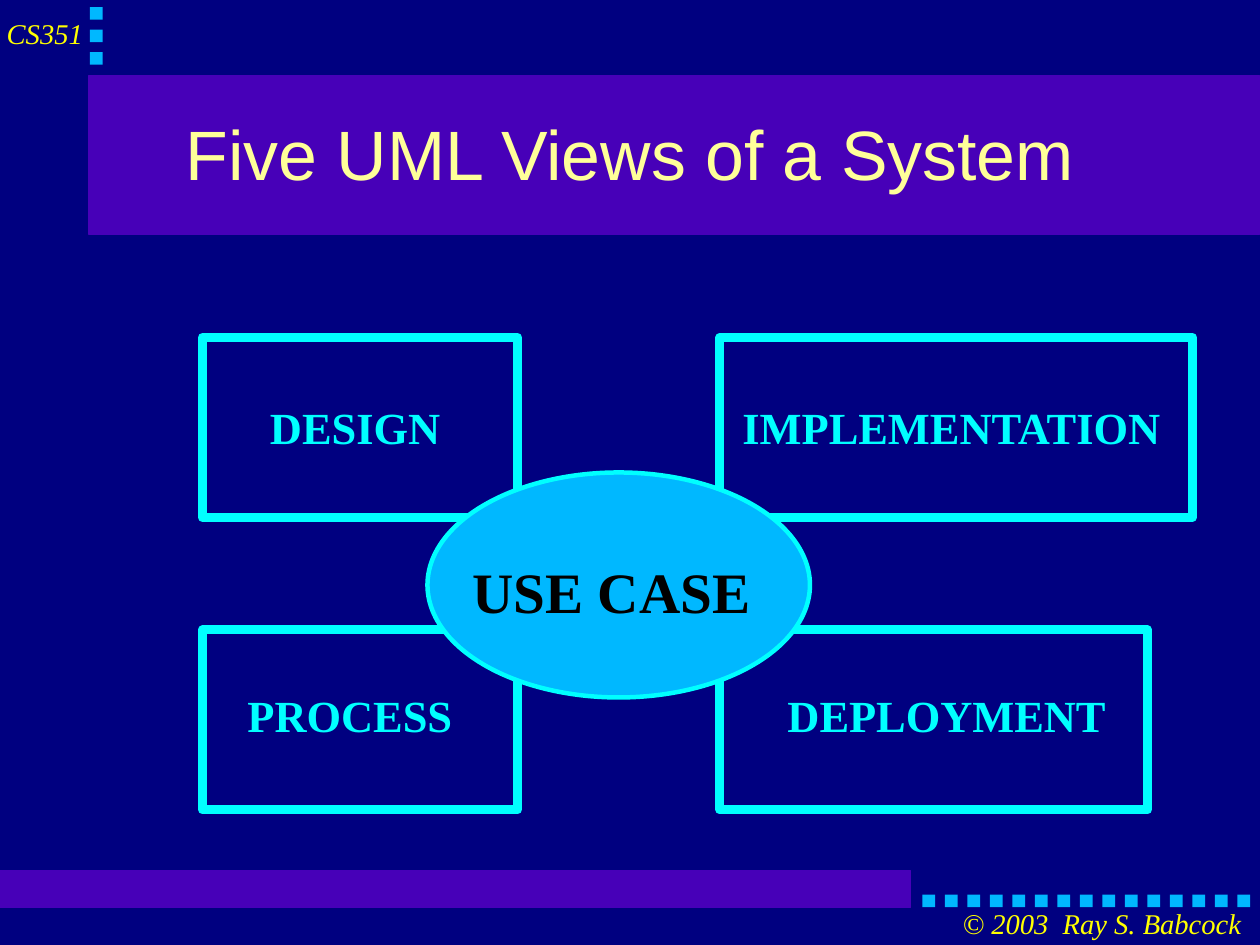
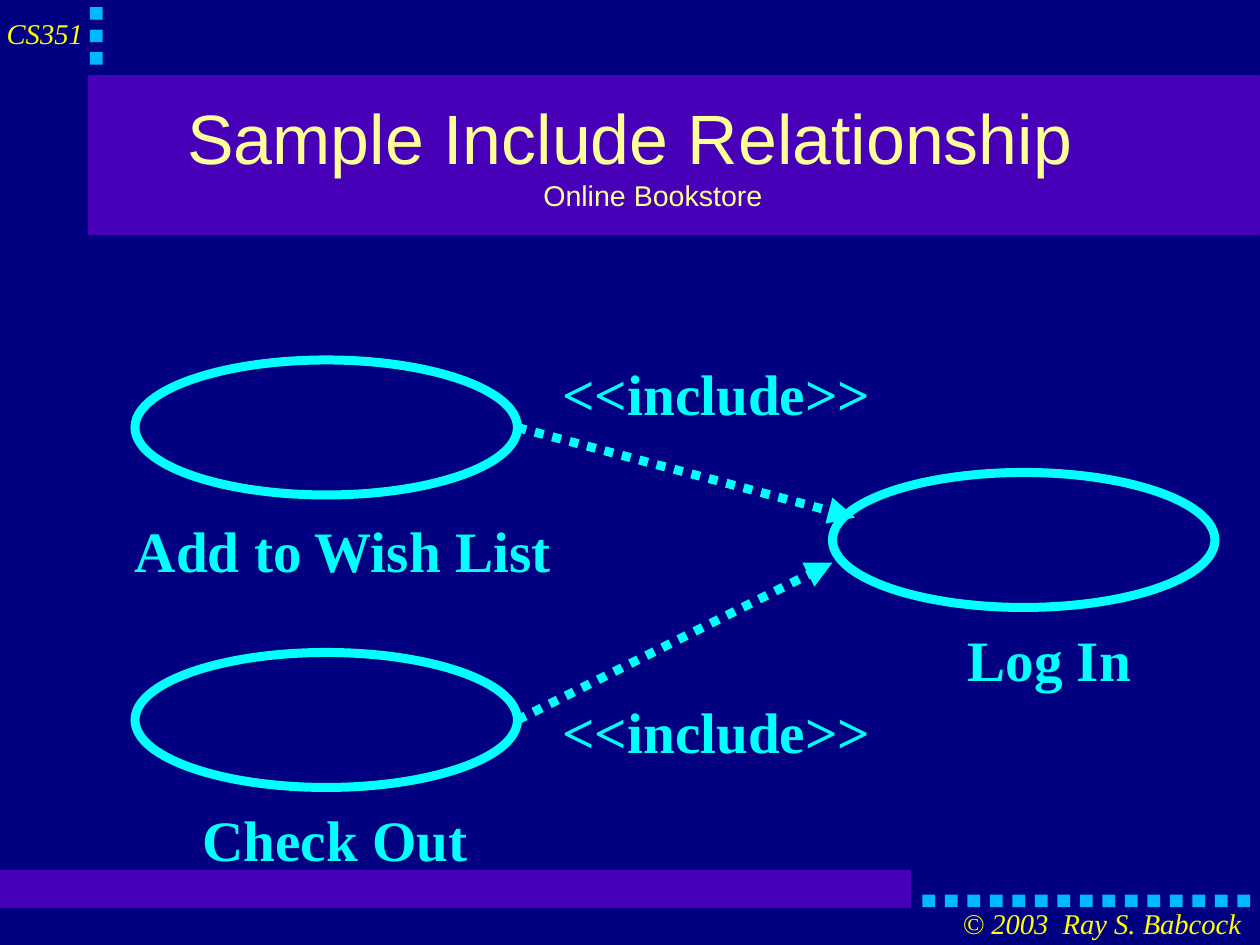
from lxml import etree
from pptx import Presentation
from pptx.dml.color import RGBColor
from pptx.enum.dml import MSO_LINE
from pptx.enum.shapes import MSO_CONNECTOR, MSO_SHAPE
from pptx.enum.text import MSO_ANCHOR, MSO_AUTO_SIZE, PP_ALIGN
from pptx.oxml.ns import qn
from pptx.util import Cm, Pt

RECT, OVAL = MSO_SHAPE.RECTANGLE, MSO_SHAPE.OVAL
STRAIGHT, DOTTED = MSO_CONNECTOR.STRAIGHT, MSO_LINE.ROUND_DOT
MIDDLE, CENTER, NO_AUTOFIT = MSO_ANCHOR.MIDDLE, PP_ALIGN.CENTER, MSO_AUTO_SIZE.NONE

NAVY, PURPLE, SKY, CYAN = "000080", "4700B8", "00B8FF", "00FFFF"
YELLOW, CREAM, BLACK = "FFFF00", "FFFF99", "000000"
SERIF, SANS = "Times New Roman", "Arial"
THICK, MEDIUM, THIN = 5.67, 2.83, 0.75
LINE_SPACING = 0.93

# All places are in centimetres: left, top, width, height.
BANDS = [(1.98, 1.68, 26.02, 3.53), (0, 19.35, 20.24, 0.82)]
DOT, DOT_STEP = 0.28, 0.5
DOTS = ([(2, 0.16 + i * DOT_STEP) for i in range(3)]
        + [(20.5 + i * DOT_STEP, 19.88) for i in range(15)])
CORNER_TEXTS = [("CS351", 0.15, 0.43, 1.85), ("© 2003  Ray S. Babcock", 21.39, 20.2, 6.35)]
TITLE_BOX = (2.06, 1.75, 23.9, 3.5)

VIEWS_TITLE = ["Five UML Views of a System"]
VIEW_HEIGHT = 4
VIEWS = [  # name, box left, top and width, label left, top and width
    ("DESIGN", (4.5, 7.5, 7), (6, 9, 6)),
    ("PROCESS", (4.5, 14, 7), (5.5, 15.4, 6.5)),
    ("IMPLEMENTATION", (16, 7.5, 10.5), (16.5, 9, 9.5)),
    ("DEPLOYMENT", (16, 14, 9.5), (17.5, 15.4, 9.5)),
]
CENTRAL_VIEW = ("USE CASE", (9.5, 10.5, 8.5, 5), (10.5, 12.5, 6.5))

INCLUDE_TITLE = ["Sample Include Relationship", "Online Bookstore"]
CASE_WIDTH, CASE_HEIGHT = 8.5, 3
CASES = [  # name, ellipse left and top, label left, top and width
    ("Add to Wish List", (3, 8), (3, 11.58, 11)),
    ("Check Out", (3, 14.5), (4.5, 18, 8)),
    ("Log In", (18.5, 10.5), (21.5, 14, 4)),
]
INCLUDES = [  # index of the starting case, arrow end, label left, top and width
    (0, (19, 11.5), (12.5, 8.1, 7)),
    (1, (18.5, 12.5), (12.5, 15.6, 7)),
]


def cm(*values):
    return [Cm(v) for v in values]


def rgb(hex_string):
    return RGBColor.from_string(hex_string)


def add_figure(slide, kind, box, fill=None, line=None, width=THICK):
    sp = slide.shapes.add_shape(kind, *cm(*box))
    sp.shadow.inherit = False
    if fill:
        sp.fill.solid()
        sp.fill.fore_color.rgb = rgb(fill)
    else:
        sp.fill.background()
    if line:
        sp.line.color.rgb = rgb(line)
        sp.line.width = Pt(width)
    else:
        sp.line.fill.background()
    return sp


def clear_margins(tf):
    tf.margin_left = tf.margin_top = tf.margin_right = tf.margin_bottom = 0
    tf.word_wrap = True


def style(p, size, color, font=SERIF, bold=False, italic=False):
    p.line_spacing = LINE_SPACING
    p.font.size, p.font.name = Pt(size), font
    p.font.bold, p.font.italic = bold, italic
    p.font.color.rgb = rgb(color)


def add_label(slide, text, left, top, width, size, color=CYAN, bold=True, italic=False):
    height = size * LINE_SPACING * 1.2 / 28.35  # 28.35 points to the centimetre
    tf = slide.shapes.add_textbox(*cm(left, top, width, height)).text_frame
    clear_margins(tf)
    tf.text = text
    style(tf.paragraphs[0], size, color, bold=bold, italic=italic)


def add_dotted_arrow(slide, start, end):
    line = slide.shapes.add_connector(STRAIGHT, *cm(*start, *end))
    line.line.color.rgb = rgb(CYAN)
    line.line.width = Pt(THICK)
    line.line.dash_style = DOTTED
    props = line.element.spPr
    etree.SubElement(props.find(qn("a:ln")), qn("a:tailEnd"), type="triangle")
    etree.SubElement(props, qn("a:effectLst"))


def set_title(slide, lines):
    """Write the first line large and any further lines small beneath it."""
    tf = slide.shapes.title.text_frame
    clear_margins(tf)
    tf.vertical_anchor, tf.auto_size = MIDDLE, NO_AUTOFIT
    p = tf.paragraphs[0]
    p.alignment = CENTER
    style(p, 44, CREAM, SANS)
    p.add_run().text = lines[0]
    for text in lines[1:]:
        p.add_line_break()
        r = p.add_run()
        r.text, r.font.size = text, Pt(18)
    hanging = Cm(1)
    props = p._p.get_or_add_pPr()
    props.set("marL", str(hanging))
    props.set("indent", str(-hanging))


def build_layout(prs):
    """Give the title-only layout its background, bands, dots and corner texts."""
    layout = prs.slide_layouts[5]
    layout.background.fill.solid()
    layout.background.fill.fore_color.rgb = rgb(NAVY)
    title = layout.placeholders[0]
    title.left, title.top, title.width, title.height = cm(*TITLE_BOX)
    return layout


def move_to_layout(slide, layout):
    """Layouts cannot add shapes themselves, so draw on a slide and move them."""
    for box in BANDS:
        add_figure(slide, RECT, box, PURPLE, PURPLE, THIN)
    for left, top in DOTS:
        add_figure(slide, RECT, (left, top, DOT, DOT), SKY)
    for text, left, top, width in CORNER_TEXTS:
        add_label(slide, text, left, top, width, 18, YELLOW, bold=False, italic=True)
    for sp in list(slide.shapes):
        if not sp.is_placeholder:
            layout.shapes.element.append(sp.element)


def draw_views(slide):
    set_title(slide, VIEWS_TITLE)
    for _, box, _ in VIEWS:
        add_figure(slide, RECT, (*box, VIEW_HEIGHT), line=CYAN)
    for name, _, label in VIEWS:
        add_label(slide, name, *label, 28)
    name, ellipse, label = CENTRAL_VIEW
    add_figure(slide, OVAL, ellipse, SKY, CYAN, MEDIUM)
    add_label(slide, name, *label, 36, BLACK)


def draw_includes(slide):
    set_title(slide, INCLUDE_TITLE)
    for name, corner, label in CASES:
        add_figure(slide, OVAL, (*corner, CASE_WIDTH, CASE_HEIGHT), line=CYAN)
        add_label(slide, name, *label, 36)
    for index, end, label in INCLUDES:
        left, top = CASES[index][1]
        add_dotted_arrow(slide, (left + CASE_WIDTH, top + CASE_HEIGHT / 2), end)
        add_label(slide, "<<include>>", *label, 36)


def main():
    prs = Presentation()
    prs.slide_width, prs.slide_height = cm(28, 21)
    layout = build_layout(prs)
    views, includes = [prs.slides.add_slide(layout) for _ in range(2)]
    move_to_layout(views, layout)
    draw_views(views)
    draw_includes(includes)
    prs.save("out.pptx")


if __name__ == "__main__":
    main()
